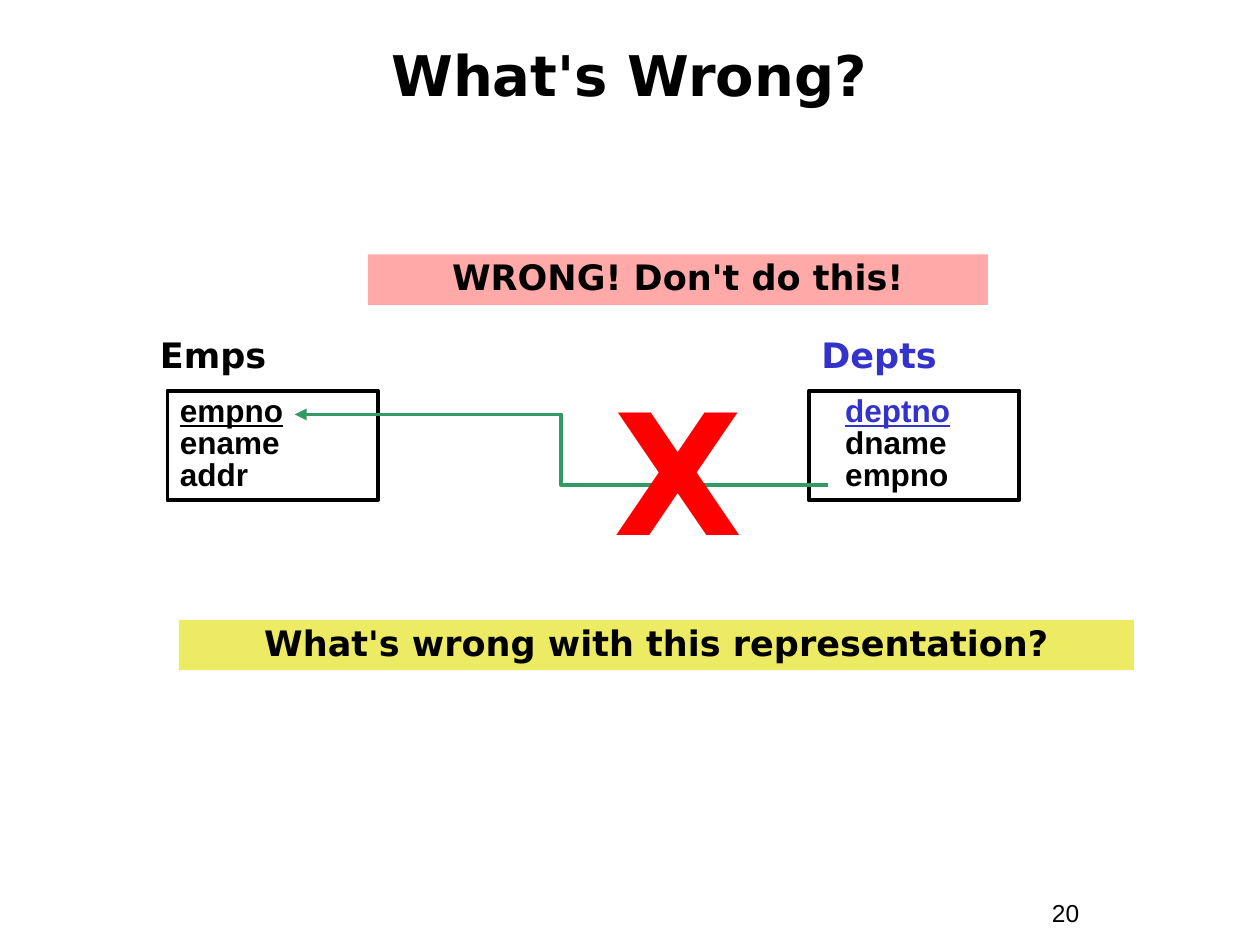
import pptx
import pptx.util
import pptx.dml.color
import pptx.enum.shapes
import pptx.enum.text
import pptx.oxml.ns
import lxml.etree

Inches = pptx.util.Inches
Pt = pptx.util.Pt
RGBColor = pptx.dml.color.RGBColor
Align = pptx.enum.text.PP_ALIGN
Anchor = pptx.enum.text.MSO_ANCHOR

BLACK = RGBColor(0x00, 0x00, 0x00)
BLUE = RGBColor(0x33, 0x33, 0xCC)
GREEN = RGBColor(0x33, 0x99, 0x66)
RED = RGBColor(0xFF, 0x00, 0x00)
YELLOW = RGBColor(0xED, 0xEA, 0x63)
PINK = RGBColor(0xFF, 0xA9, 0xA9)
HEADING_FONT = "DejaVu Sans"
BODY_FONT = "Arial"

deck = pptx.Presentation()
deck.slide_width, deck.slide_height = Inches(10), Inches(7.5)
page = deck.slides.add_slide(deck.slide_layouts[6])


def add_box(left, top, width, height, fill=None, border=None):
    """Add a rectangle with optional fill and border, ready for top-left text."""
    box = page.shapes.add_shape(
        pptx.enum.shapes.MSO_SHAPE.RECTANGLE,
        Inches(left), Inches(top), Inches(width), Inches(height))
    box.shadow.inherit = False
    if fill is None:
        box.fill.background()
    else:
        box.fill.solid()
        box.fill.fore_color.rgb = fill
    if border is None:
        box.line.fill.background()
    else:
        box.line.color.rgb = border
        box.line.width = Pt(2.25)
    box.text_frame.vertical_anchor = Anchor.TOP
    return box


def write(box, lines, size, font, align=Align.LEFT, spacing=1.0):
    """Write (text, colour, underlined) lines, one paragraph each."""
    frame = box.text_frame
    frame.word_wrap = True
    for index, (text, color, underlined) in enumerate(lines):
        para = frame.add_paragraph() if index else frame.paragraphs[0]
        para.alignment = align
        para.line_spacing = spacing
        span = para.add_run()
        span.text = text
        span.font.name = font
        span.font.size = Pt(size)
        span.font.bold = font == HEADING_FONT or len(lines) > 1
        span.font.underline = underlined
        span.font.color.rgb = color


# Page number, title and table names
labels = [
    ("20", 8.25, 7.08, 0.92, 0.34, 14, BODY_FONT, BLACK, Align.LEFT, 1.0, Anchor.TOP),
    ("What's Wrong?", 0.33, 0.17, 9.33, 0.92, 32, HEADING_FONT, BLACK,
     Align.CENTER, 0.85, Anchor.MIDDLE),
    ("Emps", 1.17, 2.6, 2.15, 0.44, 20, HEADING_FONT, BLACK, Align.LEFT, 1.0, Anchor.TOP),
    ("Depts", 6.42, 2.6, 2.15, 0.44, 20, HEADING_FONT, BLUE, Align.LEFT, 1.0, Anchor.TOP),
]
for text, left, top, width, height, size, font, color, align, spacing, anchor in labels:
    label = page.shapes.add_textbox(Inches(left), Inches(top), Inches(width), Inches(height))
    label.text_frame.vertical_anchor = anchor
    write(label, [(text, color, False)], size, font, align, spacing)

# Table columns, with the key underlined
tables = [
    (1.33, 0, BLACK, ["empno", "ename", "addr"]),
    (6.42, 0.19, BLUE, ["deptno", "dname", "empno"]),
]
for left, indent, key_color, columns in tables:
    table_box = add_box(left, 3.1, 1.67, 0.87, border=BLACK)
    lines = [(columns[0], key_color, True)] + [(name, BLACK, False) for name in columns[1:]]
    write(table_box, lines, 18, BODY_FONT, spacing=0.85)
    for para in table_box.text_frame.paragraphs:
        properties = para._p.get_or_add_pPr()
        properties.set("marL", str(Inches(indent)))
        properties.set("indent", "0")

# Reference from Depts.empno to Emps.empno
reference = page.shapes.add_connector(
    pptx.enum.shapes.MSO_CONNECTOR.ELBOW,
    Inches(6.57), Inches(3.85), Inches(2.34), Inches(3.29))
reference.line.color.rgb = GREEN
reference.line.width = Pt(2.25)
qn = pptx.oxml.ns.qn
lxml.etree.SubElement(reference.line._get_or_add_ln(), qn("a:tailEnd"), type="triangle")
lxml.etree.SubElement(reference._element.spPr, qn("a:effectLst"))

# Cross over the reference
cross = page.shapes.add_textbox(Inches(4.67), Inches(3.05), Inches(1.42), Inches(1.54))
write(cross, [("X", RED, False)], 96, HEADING_FONT, Align.CENTER, 0.9)

# Coloured banners
banners = [
    ("What's wrong with this representation?", 1.42, 4.92, 7.58, YELLOW),
    ("WRONG! Don't do this!", 2.92, 2.02, 4.92, PINK),
]
for text, left, top, width, fill in banners:
    banner = add_box(left, top, width, 0.4, fill=fill)
    write(banner, [(text, BLACK, False)], 20, HEADING_FONT, Align.CENTER, 0.9)

deck.save("out.pptx")
